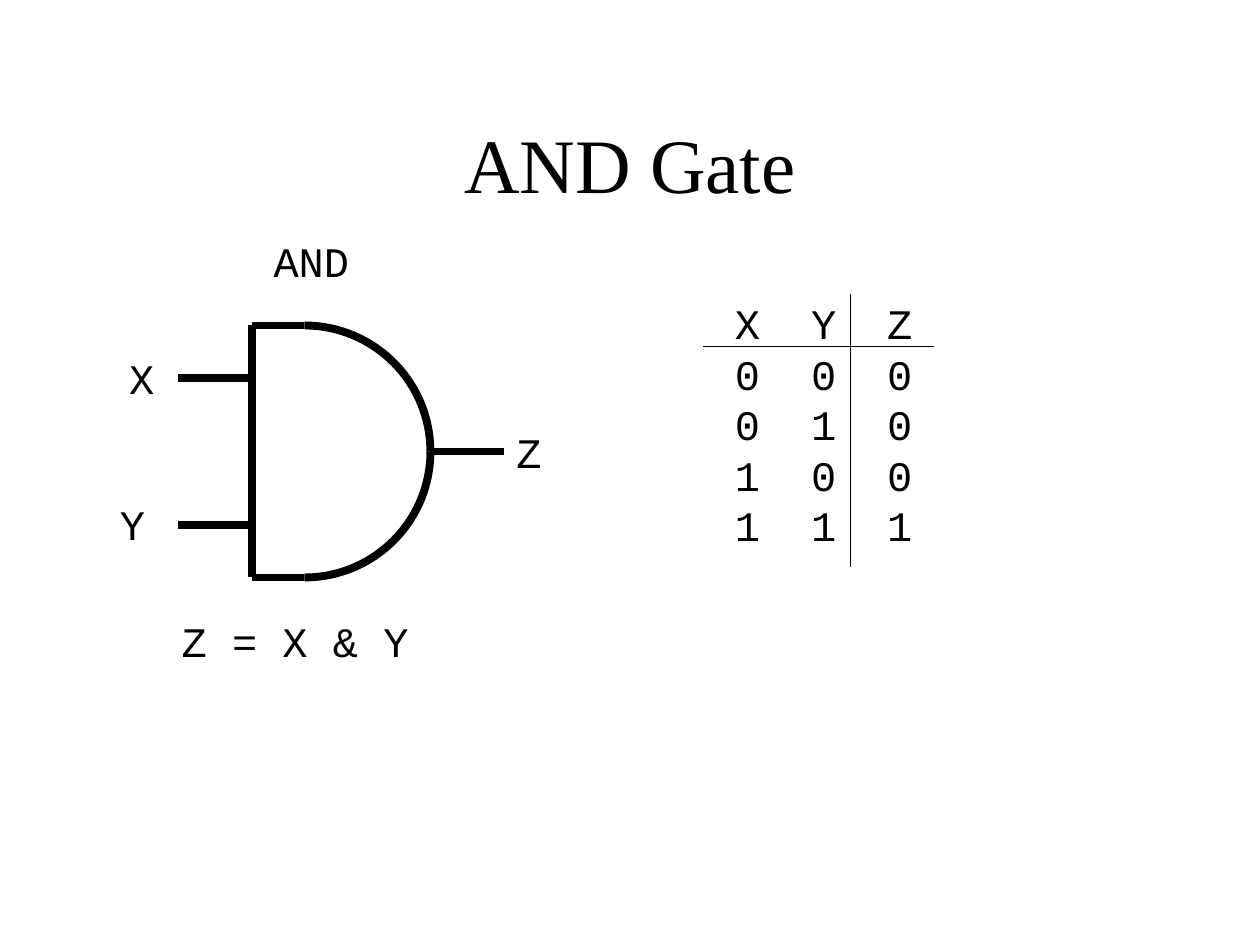
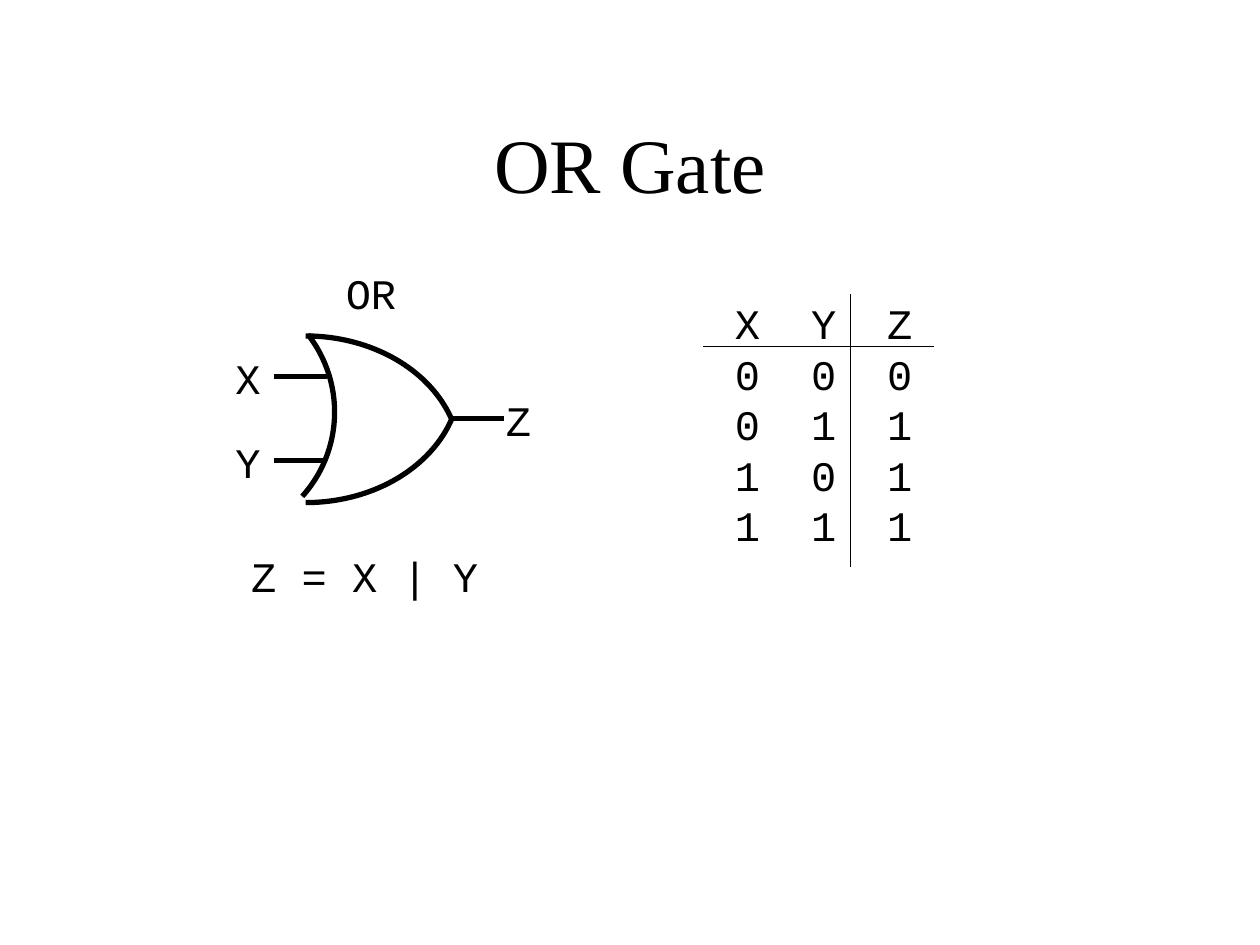
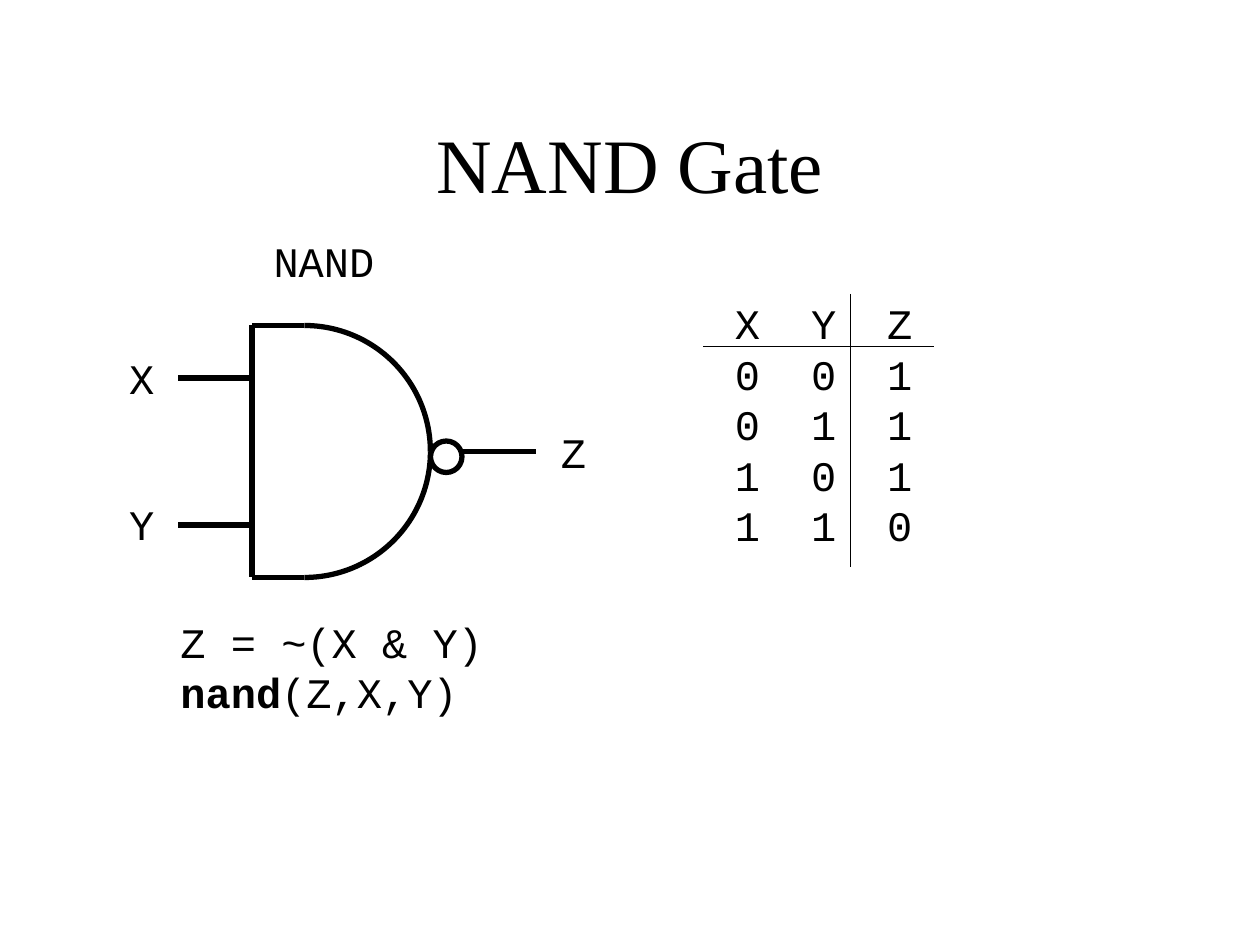
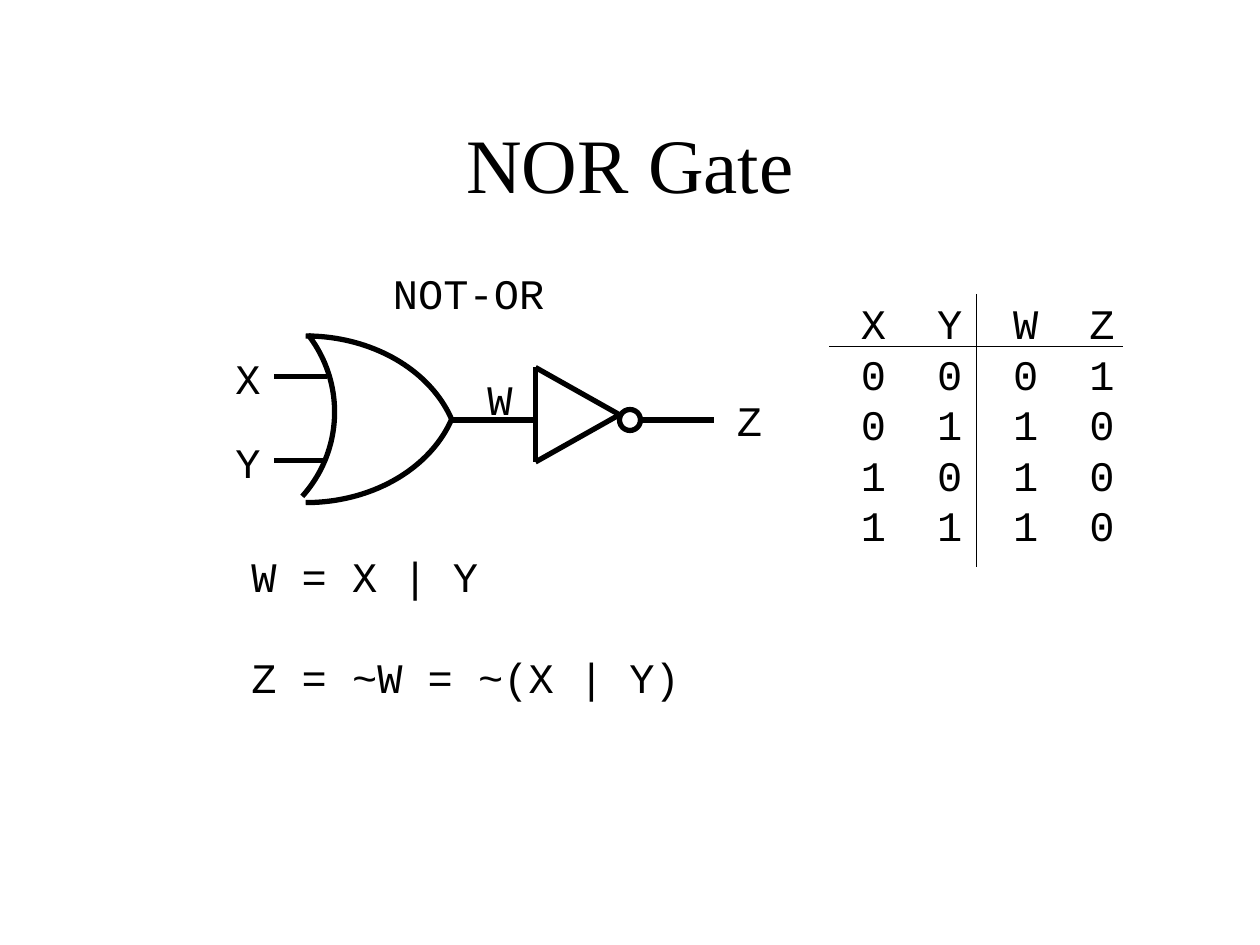
import math

import pptx
import pptx.util
import pptx.dml.color
import pptx.enum.shapes
import pptx.enum.text
import pptx.oxml

PX = 9525  # EMU in one px, 96 px to the inch
COLORS = {"ink": "000000", "paper": "FFFFFF"}
INK = pptx.dml.color.RGBColor.from_string(COLORS["ink"])
TITLE_FORMAT = {"name": "Times New Roman", "size": pptx.util.Pt(44), "bold": False}
CODE_FORMAT = {"name": "Courier New", "size": pptx.util.Pt(24), "bold": False}
CODE_LINE = pptx.util.Pt(28.8)
TITLE_LINE = pptx.util.Pt(52.8)
COLUMN, LAST_COLUMN, TABLE_HEIGHT = 58, 38, 192
INPUTS = ["00", "01", "10", "11"]

# Arcs: left, top, width, height, start and end in degrees, clockwise from the right
AND_ARCS = [(136, 248, 192, 192, 270, 0), (136, 248, 192, 192, 0, 90)]
AND_LINES = [
    (232, 248, 192, 248), (232, 440, 192, 440), (192, 248, 192, 440),
    (192, 288, 136, 288), (192, 400, 136, 400),
]
OR_ARCS = [
    (115, 256, 236, 191, 270, 344), (115, 192, 236, 191, 16, 90),
    (63, 218, 192, 192, 322, 42),
]
OR_LINES = [(249, 287, 209, 287), (249, 351, 209, 351)]
INVERTER_LINES = [(408, 280, 408, 352), (408, 280, 472, 316), (408, 352, 472, 316)]

# Labels: left, top, lines (each a list of runs), space before later lines
GATES = [
    {
        "title": "AND Gate", "weight": 4.5, "arcs": AND_ARCS,
        "lines": AND_LINES, "output": (384, 344, 328, 344),
        "labels": [
            (199, 175, [["AND"]], 0), (89, 264, [["X"]], 0), (82, 375, [["Y"]], 0),
            (384, 320, [["Z"]], 0), (129, 464, [["Z = X & Y"]], 0),
        ],
        "outputs": {"Z": "0001"}, "table_left": 550,
    },
    {
        "title": "OR Gate", "weight": 3, "arcs": OR_ARCS,
        "lines": OR_LINES, "output": (384, 319, 344, 319),
        "labels": [
            (254, 199, [["OR"]], 0), (170, 264, [["X"]], 0), (170, 328, [["Y"]], 0),
            (376, 296, [["Z"]], 0), (182, 415, [["Z = X | Y"]], 0),
        ],
        "outputs": {"Z": "0111"}, "table_left": 550,
    },
    {
        "title": "NAND Gate", "weight": 3, "arcs": AND_ARCS,
        "lines": AND_LINES, "output": (408, 344, 352, 344),
        "bubble": (328, 336, 24),
        "labels": [
            (199, 175, [["NAND"]], 0), (89, 264, [["X"]], 0), (89, 375, [["Y"]], 0),
            (418, 320, [["Z"]], 0),
            (128, 465, [["Z = ~(X & Y)"], ["nand", "(Z,X,Y)"]], 0),
        ],
        "outputs": {"Z": "1110"}, "table_left": 550,
    },
    {
        "title": "NOR Gate", "weight": 3, "arcs": OR_ARCS,
        "lines": OR_LINES + INVERTER_LINES + [(344, 320, 408, 320)],
        "output": (544, 320, 488, 320), "bubble": (472, 312, 16),
        "labels": [
            (290, 199, [["NOT-OR"]], 0), (170, 264, [["X"]], 0), (170, 328, [["Y"]], 0),
            (362, 280, [["W"]], 0), (552, 296, [["Z"]], 0),
            (182, 415, [["W = X | Y"], ["Z = ~W = ~(X | Y)"]], CODE_LINE),
        ],
        "outputs": {"W": "0111", "Z": "1000"}, "table_left": 646,
    },
]


def write_line(para, runs, formats, spacing):
    """Fill a paragraph with runs; the keyword nand is bold."""
    para.line_spacing = spacing
    for text in runs:
        span = para.add_run()
        span.text = text
        for name, value in formats.items():
            setattr(span.font, name, value)
        span.font.bold = text == "nand"
        span.font.color.rgb = INK


def draw_line(shapes, ends, weight):
    line = shapes.add_connector(
        pptx.enum.shapes.MSO_CONNECTOR.STRAIGHT, *[end * PX for end in ends])
    line.line.color.rgb = INK
    line.line.width = pptx.util.Pt(weight)
    line._element.spPr.append(pptx.oxml.parse_xml(
        '<a:effectLst xmlns:a="http://schemas.openxmlformats.org/drawingml/2006/main"/>'))
    return line


deck = pptx.Presentation()
deck.slide_width, deck.slide_height = 960 * PX, 720 * PX
background = deck.slide_master.background.fill
background.solid()
background.fore_color.rgb = pptx.dml.color.RGBColor.from_string(COLORS["paper"])

for gate in GATES:
    page = deck.slides.add_slide(deck.slide_layouts[5])

    title = page.shapes.title
    title.left, title.top, title.width, title.height = 72 * PX, 64 * PX, 816 * PX, 120 * PX
    title.text_frame.vertical_anchor = pptx.enum.text.MSO_ANCHOR.MIDDLE
    para = title.text_frame.paragraphs[0]
    para.alignment = pptx.enum.text.PP_ALIGN.CENTER
    write_line(para, [gate["title"]], TITLE_FORMAT, TITLE_LINE)

    # Gate symbol
    symbol = page.shapes.add_group_shape().shapes
    outlines = []
    for *place, start, end in gate["arcs"]:
        arc = symbol.add_shape(
            pptx.enum.shapes.MSO_SHAPE.ARC, *[length * PX for length in place])
        # An angle is held in 60000ths of a degree, an adjustment in 100000ths
        arc.adjustments[0], arc.adjustments[1] = start * 0.6, end * 0.6
        outlines.append(arc)
    for ends in gate["lines"]:
        draw_line(symbol, ends, gate["weight"])
    output = draw_line(symbol, gate["output"], gate["weight"])
    if "bubble" in gate:
        left, top, size = gate["bubble"]
        bubble = symbol.add_shape(
            pptx.enum.shapes.MSO_SHAPE.OVAL, left * PX, top * PX, size * PX, size * PX)
        outlines.append(bubble)
    for outline in outlines:
        outline.shadow.inherit = False
        outline.fill.background()
        outline.line.color.rgb = INK
        outline.line.width = pptx.util.Pt(gate["weight"])

    # Labels and equations, each box a little wider than its longest line
    for left, top, lines, gap in gate["labels"]:
        longest = max(len("".join(runs)) for runs in lines)
        box = page.shapes.add_textbox(
            left * PX, top * PX, (math.ceil(19.2 * (longest + 1)) + 1) * PX,
            round(10 + 38.4 * len(lines)) * PX + gap * (len(lines) - 1))
        frame = box.text_frame
        frame.word_wrap = False
        frame.auto_size = pptx.enum.text.MSO_AUTO_SIZE.SHAPE_TO_FIT_TEXT
        for index, runs in enumerate(lines):
            para = frame.add_paragraph() if index else frame.paragraphs[0]
            if index and gap:
                para.space_before = gap
            write_line(para, runs, CODE_FORMAT, CODE_LINE)

    # Truth table: one column for each input and output
    columns = {"X": [row[0] for row in INPUTS], "Y": [row[1] for row in INPUTS]}
    columns.update(gate["outputs"])
    left = gate["table_left"]
    width = COLUMN * (len(columns) - 1) + LAST_COLUMN
    table = page.shapes.add_table(
        len(INPUTS) + 1, len(columns), left * PX, 230 * PX,
        width * PX, TABLE_HEIGHT * PX).table
    table.first_row = table.horz_banding = False
    for number, (name, values) in enumerate(columns.items()):
        last = number == len(columns) - 1
        table.columns[number].width = (LAST_COLUMN if last else COLUMN) * PX
        for row, value in enumerate([name, *values]):
            cell = table.cell(row, number)
            cell.fill.background()
            cell.margin_left = 10 * PX
            cell.margin_right = cell.margin_top = cell.margin_bottom = 0
            write_line(cell.text_frame.paragraphs[0], [value], CODE_FORMAT, CODE_LINE)
    draw_line(page.shapes, (left - 14, 264, left + 18 + 48 * len(columns), 264), 0.75)
    draw_line(page.shapes, (left + 98, 224, left + 98, 432), 0.75)

    # An output that leaves the bubble at mid height is joined to it
    if "bubble" in gate:
        top, size = gate["bubble"][1:]
        if gate["output"][3] == top + size // 2:
            output.end_connect(bubble, 3)

deck.save("out.pptx")
